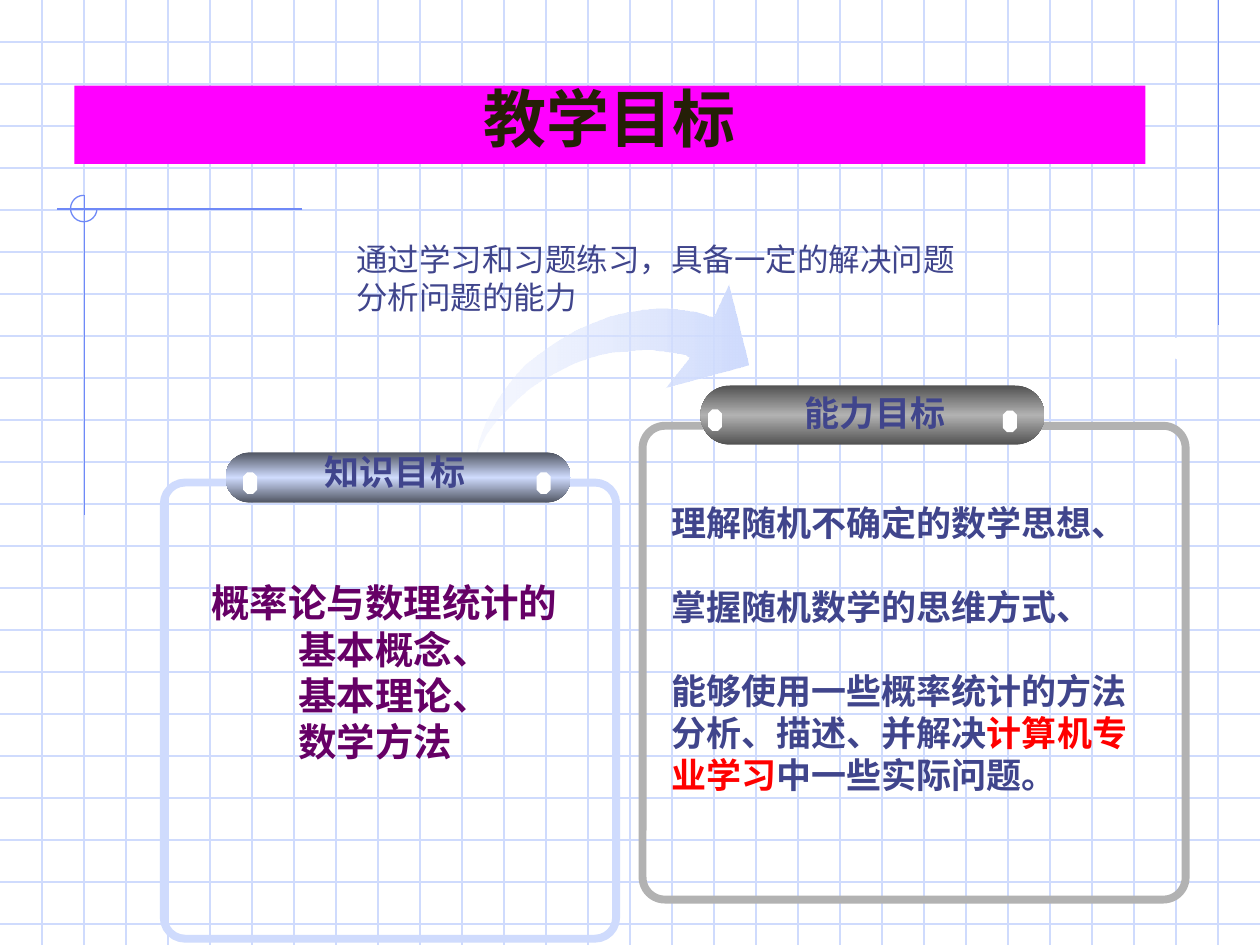
from dataclasses import dataclass

from pptx import Presentation
from pptx.dml.color import RGBColor
from pptx.enum.shapes import MSO_CONNECTOR, MSO_SHAPE
from pptx.enum.text import MSO_ANCHOR, PP_ALIGN
from pptx.oxml.ns import qn
from pptx.oxml.xmlchemy import OxmlElement
from pptx.util import Inches, Pt


@dataclass(frozen=True)
class Theme:
    font: str = "Roboto"
    pale: str = "CFDBFD"
    pale_light: str = "E3EAFE"
    pale_dark: str = "505562"
    gray: str = "B2B2B2"
    gray_dark: str = "525252"
    accent: str = "6F89F7"
    banner: str = "FF00FF"
    title: str = "251F07"
    ink: str = "40458C"
    purple: str = "660066"
    red: str = "FF0000"
    white: str = "FFFFFF"
    title_size: int = 36
    knowledge_size: int = 22
    heading_size: int = 20
    note_size: int = 18
    thin: float = 0.75
    thick: float = 4.5


THEME = Theme()

ARROW = [
    (378, 359), (379, 359), (380, 356), (382, 352), (385, 346), (389, 340),
    (395, 332), (402, 325), (410, 317), (419, 309), (430, 302), (443, 295),
    (457, 288), (472, 283), (485, 280), (498, 279), (509, 278), (518, 278),
    (527, 279), (534, 280), (540, 281), (544, 282), (547, 284), (528, 308),
    (594, 290), (578, 226), (566, 252), (562, 251), (553, 248), (547, 247),
    (539, 246), (530, 245), (520, 245), (509, 246), (497, 248), (484, 251),
    (471, 256), (457, 262), (442, 271), (429, 280), (417, 289), (408, 299),
    (400, 309), (394, 318), (389, 328), (385, 336), (382, 344), (380, 350),
    (379, 355),
]


def rgb(value):
    return RGBColor.from_string(value)


def add_line(page, start, end, color):
    line = page.shapes.add_connector(
        MSO_CONNECTOR.STRAIGHT, *(Inches(v) for v in (*start, *end)))
    line.line.color.rgb = rgb(color)
    line.line.width = Pt(THEME.thin)
    line._element.spPr.append(OxmlElement("a:effectLst"))


def add_shape(page, kind, place, fill=None, line=None, width=THEME.thin):
    shape = page.shapes.add_shape(kind, *(Inches(v) for v in place))
    shape.shadow.inherit = False
    if fill:
        shape.fill.solid()
        shape.fill.fore_color.rgb = rgb(fill)
    else:
        shape.fill.background()
    if line:
        shape.line.color.rgb = rgb(line)
        shape.line.width = Pt(width)
    else:
        shape.line.fill.background()
    return shape


def set_gradient(shape, angle, stops):
    shape.fill.gradient()
    shape.fill.gradient_angle = angle
    stop_list = shape._element.spPr.find(qn("a:gradFill")).find(qn("a:gsLst"))
    stop_list.clear()
    for position, color, opacity in stops:
        stop = OxmlElement("a:gs")
        stop.set("pos", str(position * 1000))
        value = OxmlElement("a:srgbClr")
        value.set("val", color)
        if opacity < 100:
            alpha = OxmlElement("a:alpha")
            alpha.set("val", str(opacity * 1000))
            value.append(alpha)
        stop.append(value)
        stop_list.append(stop)


def style_span(span, size, color, bold):
    span.font.name = THEME.font
    span.font.size = Pt(size)
    span.font.bold = bold
    span.font.color.rgb = rgb(color)
    east_asian = OxmlElement("a:ea")
    east_asian.set("typeface", THEME.font)
    span.font._element.find(qn("a:latin")).addnext(east_asian)


def write(shape, lines, size, color, bold=True, align=PP_ALIGN.LEFT):
    frame = shape.text_frame
    frame.text = "\n".join(lines)
    for para in frame.paragraphs:
        para.alignment = align
        for span in para.runs:
            style_span(span, size, color, bold)
    return frame


def add_text(page, place, lines, size, color, wrap=True, **style):
    box = page.shapes.add_textbox(*(Inches(v) for v in place))
    frame = write(box, lines, size, color, **style)
    frame.word_wrap = wrap
    return frame


def add_grid(page):
    for row in range(1, 23):
        add_line(page, (0, row / 3), (10, row / 3), THEME.pale)
    for column in range(1, 30):
        add_line(page, (column / 3, 0), (column / 3, 7.5), THEME.pale)


def add_guides(page):
    add_line(page, (9.67, 0), (9.67, 2.58), THEME.accent)
    add_line(page, (2.4, 1.66), (0.45, 1.66), THEME.accent)
    add_line(page, (0.67, 1.55), (0.67, 4.09), THEME.accent)
    arc = add_shape(page, MSO_SHAPE.ARC, (0.56, 1.55, 0.21, 0.21), line=THEME.accent)
    arc.adjustments[0] = 0
    arc.adjustments[1] = 162


def add_hole(page, left, top):
    add_shape(page, MSO_SHAPE.OCTAGON, (left, top, 0.11, 0.17), THEME.white)


def add_panel(page, frame_place, tab_place, holes, label_place, label, color, dark):
    panel = add_shape(page, MSO_SHAPE.ROUNDED_RECTANGLE, frame_place,
                      line=color, width=THEME.thick)
    panel.adjustments[0] = 0.047
    tab = add_shape(page, MSO_SHAPE.ROUNDED_RECTANGLE, tab_place)
    tab.adjustments[0] = 0.5
    set_gradient(tab, 270, [(0, dark, 100), (50, color, 100), (100, dark, 100)])
    for left, top in holes:
        add_hole(page, left, top)
    add_text(page, label_place, [label], THEME.heading_size, THEME.ink,
             wrap=False, align=PP_ALIGN.CENTER)


def add_arrow(page):
    builder = page.shapes.build_freeform(*ARROW[0], scale=Inches(0.01))
    builder.add_line_segments(ARROW[1:], close=True)
    arrow = builder.convert_to_shape()
    arrow.shadow.inherit = False
    arrow.line.fill.background()
    set_gradient(arrow, 0, [(0, THEME.pale_light, 32), (100, THEME.pale, 100)])


def add_knowledge_text(page):
    lines = ["概率论与数理统计的", "基本概念、", "基本理论、", "数学方法"]
    frame = add_text(page, (1.58, 4.55, 3.13, 1.57), lines,
                     THEME.knowledge_size, THEME.purple)
    for para in frame.paragraphs[1:]:
        para._p.get_or_add_pPr().set("marL", str(Inches(0.69)))


def add_ability_text(page):
    lines = ["理解随机不确定的数学思想、", "掌握随机数学的思维方式、",
             "能够使用一些概率统计的方法分析、描述、并解决"]
    frame = add_text(page, (5.23, 3.93, 3.86, 2.44), lines,
                     THEME.heading_size, THEME.ink)
    for para in frame.paragraphs[1:]:
        para.space_before = Pt(24)
    for words, color in (("计算机专业学习", THEME.red), ("中一些实际问题。", THEME.ink)):
        span = frame.paragraphs[-1].add_run()
        span.text = words
        style_span(span, THEME.heading_size, color, True)


def add_title(page):
    banner = add_shape(page, MSO_SHAPE.RECTANGLE, (0.59, 0.68, 8.5, 0.62), THEME.banner)
    frame = write(banner, ["教学目标"], THEME.title_size, THEME.title,
                  align=PP_ALIGN.CENTER)
    frame.vertical_anchor = MSO_ANCHOR.MIDDLE
    frame.paragraphs[0].line_spacing = 0.8


def main():
    deck = Presentation()
    deck.slide_width, deck.slide_height = Inches(10), Inches(7.5)
    page = deck.slides.add_slide(deck.slide_layouts[6])
    add_grid(page)
    add_guides(page)
    add_panel(page, (5.1, 3.38, 4.31, 3.76), (5.56, 3.06, 2.73, 0.47),
              [(7.96, 3.26), (5.62, 3.25), (9.3, 2.68)],
              (6.29, 3.06, 1.31, 0.44), "能力目标", THEME.gray, THEME.gray_dark)
    add_arrow(page)
    add_panel(page, (1.3, 3.83, 3.59, 3.62), (1.79, 3.59, 2.74, 0.4),
              [(4.26, 3.75), (1.93, 3.75)],
              (2.48, 3.53, 1.31, 0.44), "知识目标", THEME.pale, THEME.pale_dark)
    add_knowledge_text(page)
    add_ability_text(page)
    add_title(page)
    add_text(page, (2.73, 1.86, 5, 0.7),
             ["通过学习和习题练习，具备一定的解决问题分析问题的能力"],
             THEME.note_size, THEME.ink, bold=False)
    deck.save("out.pptx")


if __name__ == "__main__":
    main()
